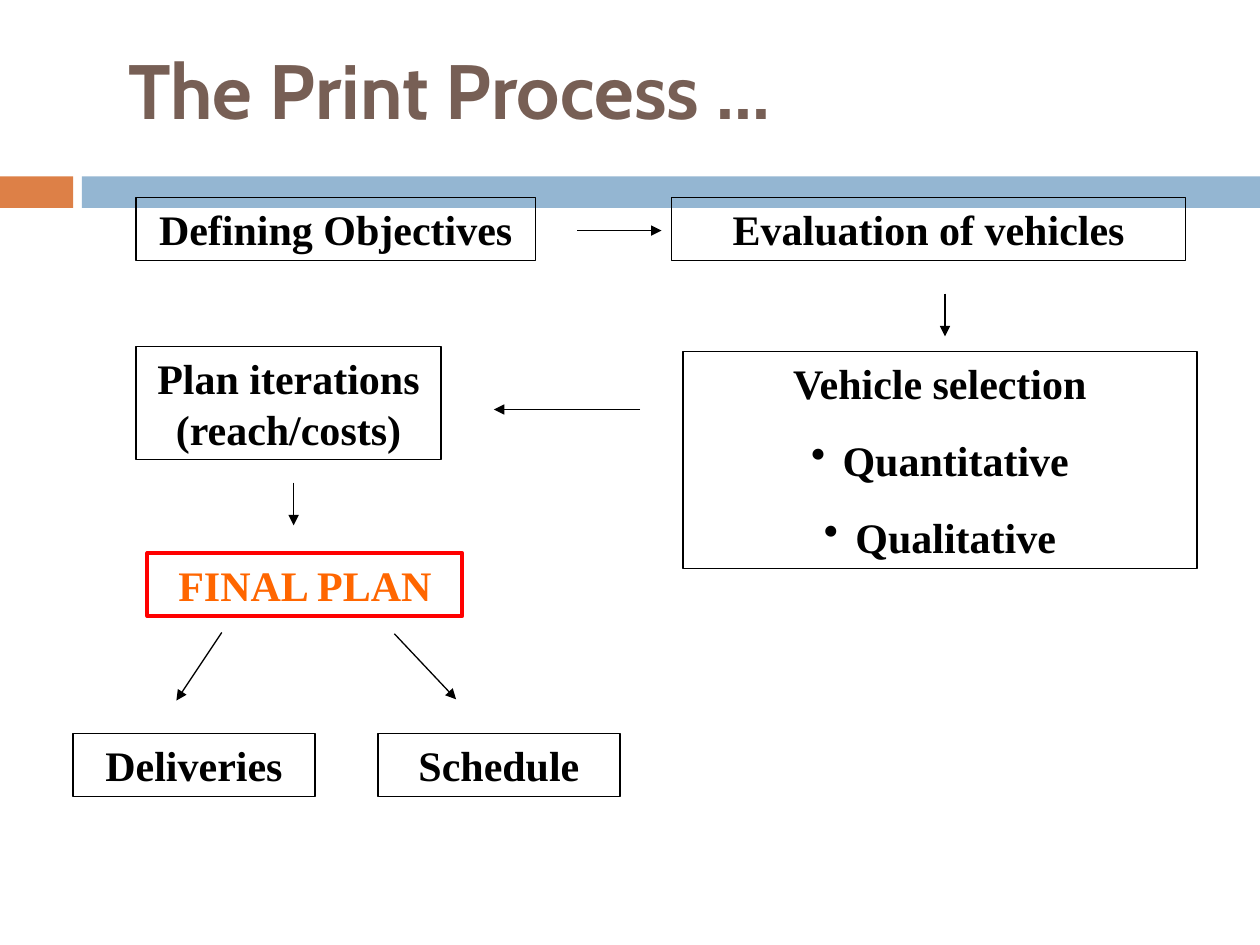
from pptx import Presentation
from pptx.dml.color import RGBColor
from pptx.enum.shapes import MSO_CONNECTOR, MSO_SHAPE
from pptx.enum.text import MSO_ANCHOR, PP_ALIGN
from pptx.oxml.ns import qn
from pptx.util import Inches, Pt
from lxml import etree

RECTANGLE = MSO_SHAPE.RECTANGLE
STRAIGHT = MSO_CONNECTOR.STRAIGHT
CENTER = PP_ALIGN.CENTER
TOP, MIDDLE = MSO_ANCHOR.TOP, MSO_ANCHOR.MIDDLE

BLACK = RGBColor(0x00, 0x00, 0x00)
RED = RGBColor(0xFF, 0x00, 0x00)
BRIGHT_ORANGE = RGBColor(0xFF, 0x66, 0x00)
BAND_ORANGE = RGBColor(0xDD, 0x80, 0x47)
BAND_BLUE = RGBColor(0x94, 0xB6, 0xD2)
BROWN = RGBColor(0x77, 0x5F, 0x55)

STEPS = [
    ("Defining Objectives", 1.08, 1.57, 3.17, 0.5),
    ("Evaluation of vehicles", 5.33, 1.57, 4.08, 0.5),
    ("Plan iterations (reach/costs)", 1.08, 2.75, 2.42, 0.9),
    ("Deliveries", 0.58, 5.82, 1.92, 0.5),
    ("Schedule", 3, 5.82, 1.92, 0.5),
]
ARROWS = [
    (4.58, 1.83, 5.25, 1.83),
    (7.5, 2.33, 7.5, 2.67),
    (5.08, 3.25, 3.92, 3.25),
    (2.33, 3.83, 2.33, 4.17),
    (1.76, 5.02, 1.4, 5.56),
    (3.13, 5.03, 3.62, 5.55),
]


def style_font(font, name, size, color):
    font.name = name
    font.size = Pt(size)
    font.bold = True
    font.color.rgb = color


def add_title(page, text, left, top, width, height):
    box = page.shapes.add_textbox(*map(Inches, (left, top, width, height)))
    frame = box.text_frame
    frame.word_wrap = True
    frame.vertical_anchor = MIDDLE
    frame.text = text
    style_font(frame.paragraphs[0].font, "Cabin", 44, BROWN)


def add_band(page, left, top, width, height, gap=0.07, accent_width=0.58):
    """Draw a short orange block and a blue bar filling the rest of the width."""
    blue_left = left + accent_width + gap
    parts = [(left, accent_width, BAND_ORANGE),
             (blue_left, left + width - blue_left, BAND_BLUE)]
    for part_left, part_width, color in parts:
        bar = page.shapes.add_shape(
            RECTANGLE, *map(Inches, (part_left, top, part_width, height)))
        bar.shadow.inherit = False
        bar.fill.solid()
        bar.fill.fore_color.rgb = color
        bar.line.fill.background()


def add_bullet(para):
    properties = para._p.get_or_add_pPr()
    properties.set("marL", str(Inches(0.25)))
    properties.set("indent", str(-Inches(0.25)))
    etree.SubElement(properties, qn("a:buChar")).set("char", "•")


def add_step(page, text, left, top, width, height, bullets=(),
             line_color=BLACK, line_width=0.75, text_color=BLACK):
    box = page.shapes.add_shape(
        RECTANGLE, *map(Inches, (left, top, width, height)))
    box.shadow.inherit = False
    box.fill.background()
    box.line.color.rgb = line_color
    box.line.width = Pt(line_width)
    frame = box.text_frame
    frame.word_wrap = True
    frame.vertical_anchor = TOP
    frame.text = "\n".join([text, *bullets])
    for index, para in enumerate(frame.paragraphs):
        para.alignment = CENTER
        if index:
            para.space_before = Pt(15)
            add_bullet(para)
        style_font(para.font, "Times New Roman", 24, text_color)


def add_arrow(page, start_x, start_y, end_x, end_y):
    arrow = page.shapes.add_connector(
        STRAIGHT, *map(Inches, (start_x, start_y, end_x, end_y)))
    arrow.line.color.rgb = BLACK
    arrow.line.width = Pt(0.75)
    etree.SubElement(arrow.line._get_or_add_ln(),
                     qn("a:tailEnd")).set("type", "triangle")
    etree.SubElement(arrow._element.spPr, qn("a:effectLst"))


def add_flowchart(page):
    for step in STEPS:
        add_step(page, *step)
    add_step(page, "Vehicle selection", 5.42, 2.79, 4.08, 1.72,
             bullets=("Quantitative", "Qualitative"))
    add_step(page, "FINAL PLAN", 1.17, 4.39, 2.5, 0.5,
             line_color=RED, line_width=2.25, text_color=BRIGHT_ORANGE)
    for arrow in ARROWS:
        add_arrow(page, *arrow)


def main():
    deck = Presentation()
    deck.slide_width, deck.slide_height = Inches(10), Inches(7.5)
    page = deck.slides.add_slide(deck.slide_layouts[6])
    add_band(page, 0, 1.4, 10, 0.25)
    add_title(page, "The Print Process ...", 0.92, 0.08, 8.5, 1.25)
    add_flowchart(page)
    deck.save("out.pptx")


if __name__ == "__main__":
    main()
